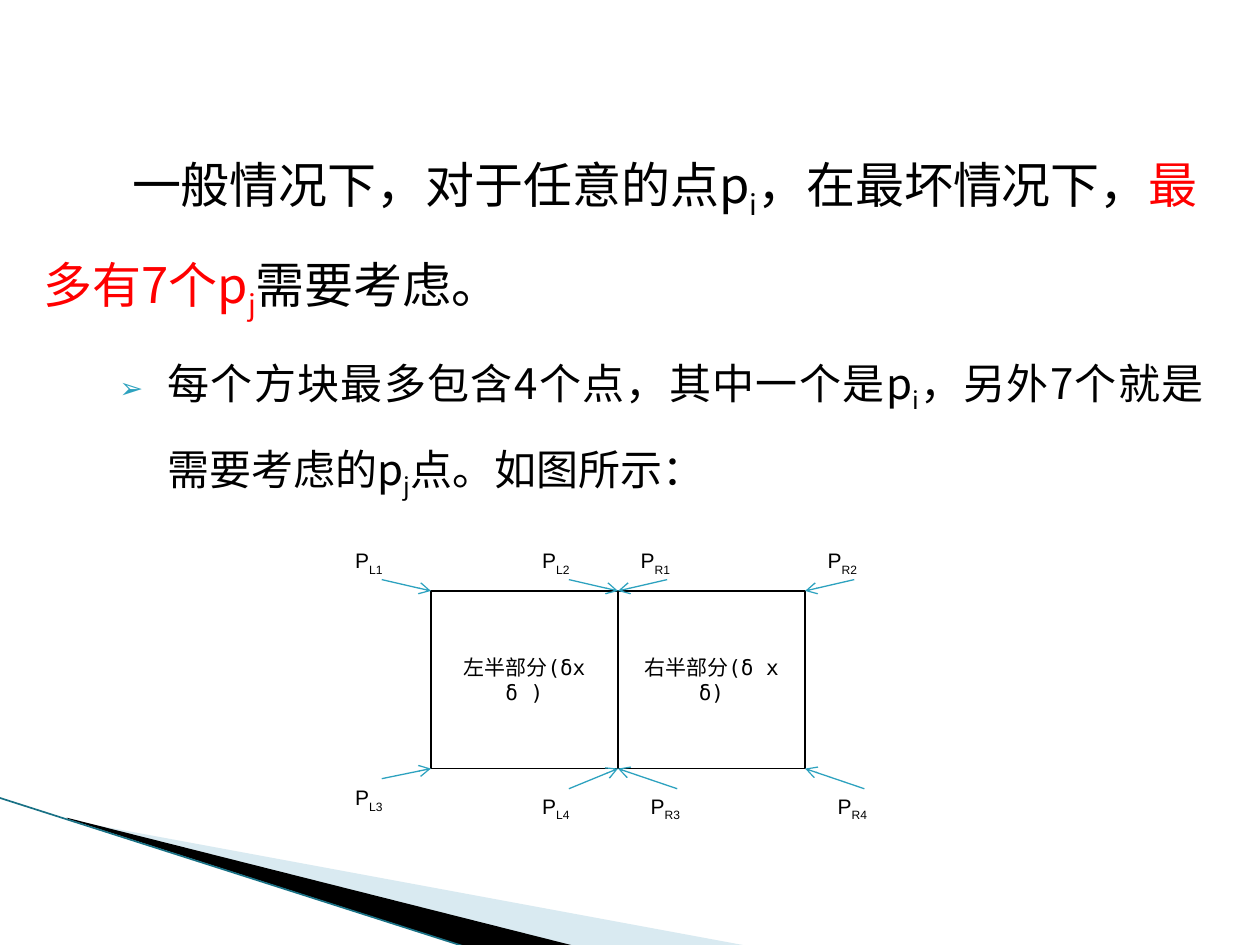
from lxml import etree
from pptx import Presentation
from pptx.dml.color import RGBColor
from pptx.enum.shapes import MSO_CONNECTOR, MSO_SHAPE
from pptx.enum.text import MSO_ANCHOR, PP_ALIGN
from pptx.oxml.ns import qn
from pptx.util import Inches, Pt

LINE, RECT = MSO_CONNECTOR.STRAIGHT, MSO_SHAPE.RECTANGLE
MIDDLE, CENTER, JUSTIFY = MSO_ANCHOR.MIDDLE, PP_ALIGN.CENTER, PP_ALIGN.JUSTIFY
HUES = {"ink": "000000", "red": "FF0000", "teal": "2DA2BF",
        "pale": "A0CBDC", "edge": "197185"}
CJK, MONO, SANS = "Noto Sans CJK SC", "DejaVu Sans Mono", "Arial"


def hue(name):
    return RGBColor.from_string(HUES[name])


def style(para, face, size):
    font = para.font
    font.name, font.size = face, Pt(size)
    font.color.rgb = hue("ink")
    base = para._p.pPr.find(qn("a:defRPr"))
    etree.SubElement(base, qn("a:ea"), typeface=face)
    return base


def write(para, parts):
    """Add (text, colour, is subscript) runs."""
    for text, tint, sub in parts:
        run = para.add_run()
        run.text = text
        run.font.color.rgb = hue(tint)
        if sub:
            run._r.get_or_add_rPr().set("baseline", "-25000")


def add_box(shapes, left, top, width, height):
    box = shapes.add_textbox(Inches(left), Inches(top), Inches(width), Inches(height))
    box.text_frame.word_wrap = True
    return box.text_frame


def add_line(shapes, start, end, tint, width, arrow=False):
    line = shapes.add_connector(LINE, *(Inches(v) for v in (*start, *end)))
    line.line.color.rgb = hue(tint)
    line.line.width = Pt(width)
    props = line._element.spPr
    if arrow:
        etree.SubElement(props.find(qn("a:ln")), qn("a:tailEnd"), type="arrow")
    etree.SubElement(props, qn("a:effectLst"))


def add_wedge(shapes, points, tint, alpha=None):
    first, *rest = [(Inches(x), Inches(y)) for x, y in points]
    pen = shapes.build_freeform(*first)
    pen.add_line_segments(rest, close=True)
    wedge = pen.convert_to_shape()
    wedge.shadow.inherit = False
    wedge.fill.solid()
    wedge.fill.fore_color.rgb = hue(tint)
    wedge.line.fill.background()
    if alpha:
        color = wedge._element.spPr.find(".//" + qn("a:srgbClr"))
        etree.SubElement(color, qn("a:alpha"), val=str(alpha * 1000))


def add_corner(shapes, left, top, foot):
    """Swoosh in the lower left corner."""
    add_wedge(shapes, [(left + 0.55, top + 0.18), (left + 5.95, foot + 0.01),
                       (left + 4.56, foot + 0.01), (left + 0.55, top + 0.17)],
              "pale", 40)
    add_wedge(shapes, [(left + 0.53, top + 0.16), (left + 4.57, foot + 0.01),
                       (left + 3.72, foot + 0.02), (left + 0.54, top + 0.17)], "ink")
    add_line(shapes, (left - 0.01, top), (left + 3.71, foot + 0.02), "edge", 0.95)


def add_body(shapes, left, top, width, height):
    frame = add_box(shapes, left, top, width, height)
    lead, point = frame.paragraphs[0], frame.add_paragraph()
    for para, size in ((lead, 28), (point, 24)):
        para.line_spacing, para.space_before = 1.5, Pt(4)
        base = style(para, CJK, size)

    # Opening statement
    lead._p.pPr.set("indent", str(Inches(0.7)))
    write(lead, [("一般情况下，对于任意的点p", "ink", False), ("i", "ink", True),
                 ("，在最坏情况下，", "ink", False), ("最多有7个p", "red", False),
                 ("j", "red", True), ("需要考虑。", "ink", False)])

    # Bulleted detail
    point.alignment = JUSTIFY
    props = point._p.pPr
    props.set("marL", str(Inches(0.98)))
    props.set("indent", str(Inches(-0.38)))
    for tag, name, value in (("buClr", None, None), ("buSzPct", "val", "68000"),
                             ("buFont", "typeface", CJK),
                             ("buChar", "char", "➢")):
        mark = etree.Element(qn("a:" + tag))
        if name:
            mark.set(name, value)
        else:
            etree.SubElement(mark, qn("a:srgbClr"), val=HUES["teal"])
        base.addprevious(mark)
    write(point, [("每个方块最多包含4个点，其中一个是p", "ink", False),
                  ("i", "ink", True), ("，另外7个就是需要考虑的p", "ink", False),
                  ("j", "ink", True), ("点。如图所示：", "ink", False)])


def add_half(shapes, left, top, width, height, text):
    half = shapes.add_shape(RECT, Inches(left), Inches(top), Inches(width), Inches(height))
    half.shadow.inherit = False
    half.fill.background()
    half.line.color.rgb = hue("ink")
    half.line.width = Pt(1)
    frame = half.text_frame
    frame.word_wrap, frame.vertical_anchor = True, MIDDLE
    para = frame.paragraphs[0]
    para.text, para.alignment = text, CENTER
    style(para, MONO, 12)


def add_squares(shapes, left, top, side, height):
    """Two squares; an arrow runs from each label to its corner."""
    for i, text in enumerate(("左半部分(δx δ )", "右半部分(δ x δ)")):
        add_half(shapes, left + i * side, top, side, height, text)

    # Name, corner column and row, arrow start offset, label top offset
    marks = [("L1", 0, 0, -0.39, -0.09, -0.39), ("L2", 1, 0, -0.39, -0.09, -0.39),
             ("L3", 0, 1, -0.39, 0.08, 0.08), ("L4", 1, 1, -0.39, 0.16, 0.15),
             ("R1", 1, 0, 0.39, -0.09, -0.39), ("R2", 2, 0, 0.39, -0.09, -0.39),
             ("R3", 1, 1, 0.47, 0.16, 0.15), ("R4", 2, 1, 0.47, 0.16, 0.15)]
    for name, col, row, dx, dy, rise in marks:
        x, y = left + col * side, top + row * height
        para = add_box(shapes, x + dx - 0.31, y + rise, 0.62, 0.3).paragraphs[0]
        style(para, SANS, 12)
        write(para, [("P", "ink", False), (name, "ink", True)])
        add_line(shapes, (x + dx, y + dy), (x, y), "teal", 0.75, arrow=True)


def main():
    deck = Presentation()
    deck.slide_width, deck.slide_height = Inches(10), Inches(7.5)
    shapes = deck.slides.add_slide(deck.slide_layouts[6]).shapes
    add_corner(shapes, 0, 6.33, 7.5)
    add_body(shapes, 0.25, 0.91, 9.4, 2.99)
    add_squares(shapes.add_group_shape().shapes, 3.42, 4.69, 1.485, 1.41)
    deck.save("out.pptx")


if __name__ == "__main__":
    main()
